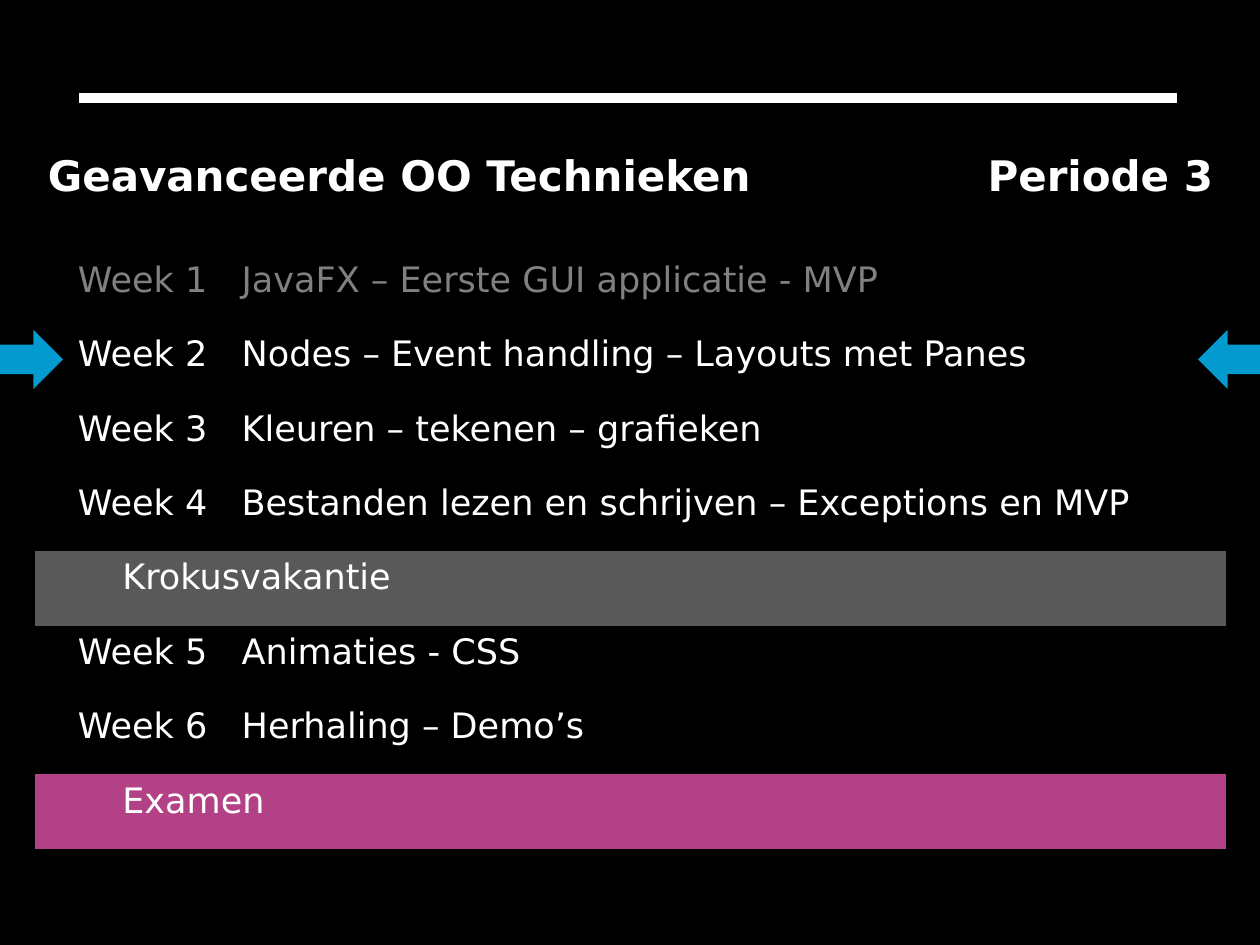
from pptx import Presentation
from pptx.dml.color import RGBColor
from pptx.enum.shapes import MSO_CONNECTOR, MSO_SHAPE
from pptx.enum.text import PP_ALIGN
from pptx.oxml.ns import qn
from pptx.util import Cm, Pt
from lxml.etree import SubElement

THEME = {
    "font": "DejaVu Sans", "title": Pt(24), "body": Pt(20), "rule": Pt(6),
    "back": "000000", "text": "FFFFFF", "done": "808080",
    "holiday": "595959", "exam": "B34185", "arrow": "039BCF",
}
COURSE, PERIOD = "Geavanceerde OO Technieken", "Periode 3"
WEEKS = [
    ("Week 1", "JavaFX – Eerste GUI applicatie - MVP"),
    ("Week 2", "Nodes – Event handling – Layouts met Panes"),
    ("Week 3", "Kleuren – tekenen – grafieken"),
    ("Week 4", "Bestanden lezen en schrijven – Exceptions en MVP"),
    ("Krokusvakantie", "holiday", 4),
    ("Week 5", "Animaties - CSS"),
    ("Week 6", "Herhaling – Demo’s"),
    ("Examen", "exam", 3),
]
DONE = {"Week 1"}
COLS = [0.58, 3.3, 14.05, 4.11, 1.93]
LEFT, TOP, ROW, GAP = 0.71, 2.95, 1.5, 0.66
INDENT = 1.15
SLIDE_W, SLIDE_H = 25.4, 19.05
ARROW_W, ARROW_H, ARROW_TOP = 1.3, 1.19, 6.65
NO_STYLE = "{2D5ABB26-0587-4C30-8999-92F81FD0307C}"


def color(name):
    return RGBColor.from_string(THEME[name])


def write(tbl, row, first, last, text, size="body", tint="text", bold=False, align=None):
    cell = tbl.cell(row, first)
    if last > first:
        cell.merge(tbl.cell(row, last))
    p = cell.text_frame.paragraphs[0]
    p.alignment = align
    r = p.add_run()
    r.text = text
    for key, value in {"name": THEME["font"], "size": THEME[size], "bold": bold}.items():
        setattr(r.font, key, value)
    r.font.color.rgb = color(tint)
    return cell


def add_rule(s):
    line = s.shapes.add_connector(MSO_CONNECTOR.STRAIGHT, Cm(1.6), Cm(1.98), Cm(23.72), Cm(1.98))
    line.line.color.rgb = color("text")
    line.line.width = THEME["rule"]
    SubElement(line._element.spPr, qn("a:effectLst"))


def add_schedule(s):
    heights = [ROW, GAP] + [ROW] * len(WEEKS)
    frame = s.shapes.add_table(len(heights), len(COLS), Cm(LEFT), Cm(TOP),
                               Cm(sum(COLS)), Cm(sum(heights)))
    tbl = frame.table
    tbl.first_row = tbl.horz_banding = False
    tbl._tbl.tblPr.find(qn("a:tableStyleId")).text = NO_STYLE
    for col, width in zip(tbl.columns, COLS):
        col.width = Cm(width)
    for row, height in zip(tbl.rows, heights):
        row.height = Cm(height)
    for cell in tbl.iter_cells():
        cell.fill.background()
    for cell in tbl.rows[1].cells:
        cell.margin_top = cell.margin_bottom = 0
        cell.text_frame.paragraphs[0]._p.get_or_add_endParaRPr().set("sz", "800")
    tbl.cell(1, 0).merge(tbl.cell(1, 4))

    write(tbl, 0, 0, 2, COURSE, "title", bold=True)
    write(tbl, 0, 3, 4, PERIOD, "title", bold=True, align=PP_ALIGN.RIGHT)
    for row, (label, detail, *span) in enumerate(WEEKS, 2):
        if span:
            write(tbl, row, 1, span[0], label).margin_left = Cm(INDENT)
            for cell in tbl.rows[row].cells:
                cell.fill.solid()
                cell.fill.fore_color.rgb = color(detail)
        else:
            tint = "done" if label in DONE else "text"
            write(tbl, row, 1, 1, label, tint=tint)
            write(tbl, row, 2, 4, detail, tint=tint)


def add_arrows(s):
    for left, turn in ((-0.03, 0), (SLIDE_W - ARROW_W + 0.05, 180)):
        sp = s.shapes.add_shape(MSO_SHAPE.RIGHT_ARROW, Cm(left), Cm(ARROW_TOP),
                                Cm(ARROW_W), Cm(ARROW_H))
        sp.rotation = turn
        sp.shadow.inherit = False
        sp.fill.solid()
        sp.fill.fore_color.rgb = color("arrow")
        sp.line.fill.background()


def main():
    prs = Presentation()
    prs.slide_width, prs.slide_height = Cm(SLIDE_W), Cm(SLIDE_H)
    s = prs.slides.add_slide(prs.slide_layouts[6])
    s.background.fill.solid()
    s.background.fill.fore_color.rgb = color("back")
    add_rule(s)
    add_schedule(s)
    add_arrows(s)
    prs.save("out.pptx")


if __name__ == "__main__":
    main()
